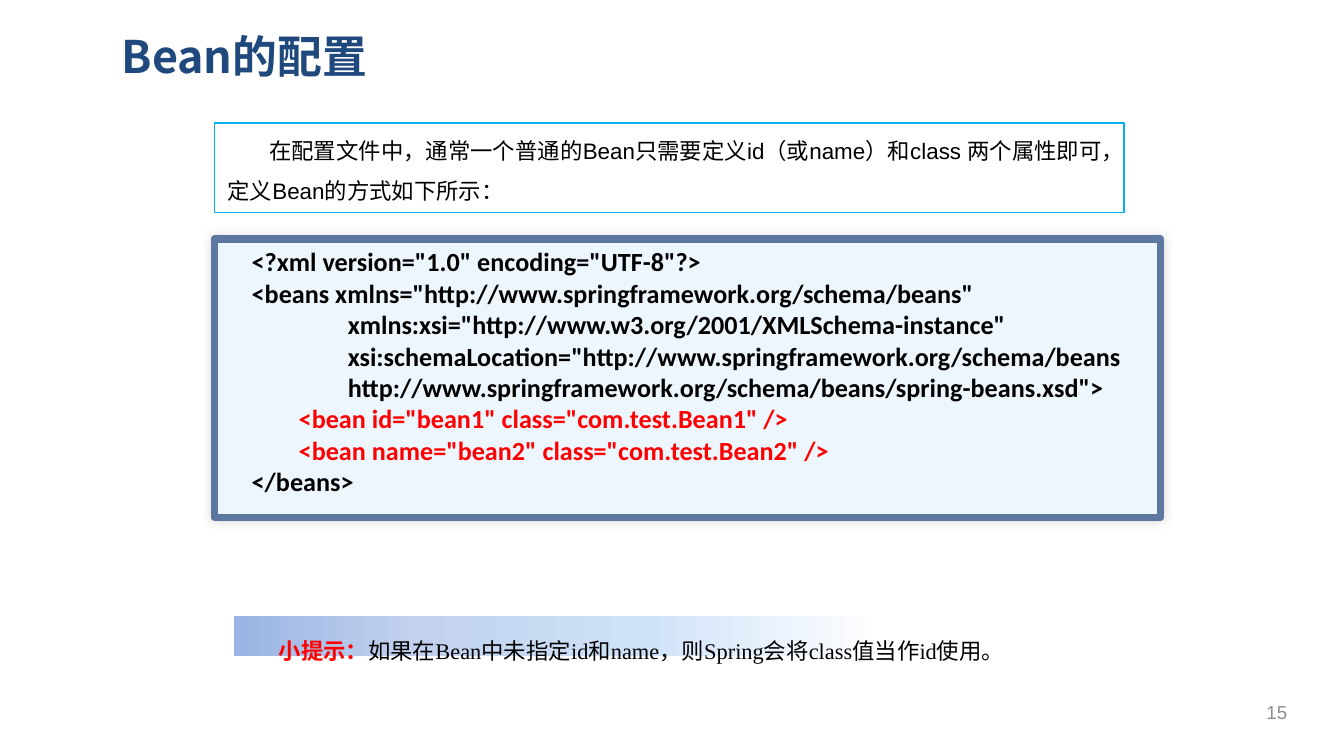
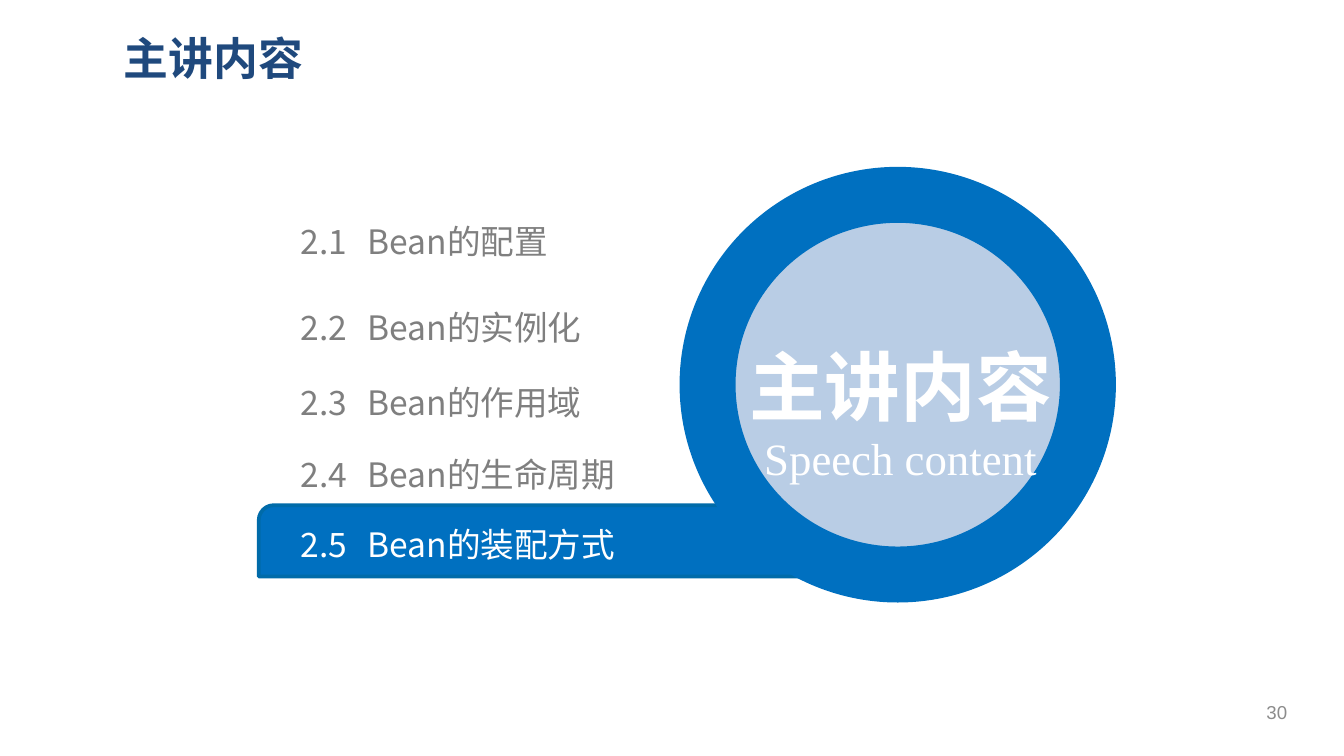
"""Build two slides on configuring beans: a sample file and the chapter outline."""
from dataclasses import dataclass, field

import lxml.etree
import pptx
import pptx.dml.color
import pptx.enum.shapes
import pptx.enum.text
import pptx.oxml.ns
import pptx.util

SCALE = 4572
SANS, ARIAL, TIMES, CODE = "Noto Sans CJK SC", "Arial", "Times New Roman", "Calibri"
NAVY, BLUE, RED, BLACK, WHITE, GRAY = (
    "1F497D", "0070C0", "FF0000", "000000", "FFFFFF", "7F7F7F")
KIND = pptx.enum.shapes.MSO_SHAPE
ALIGN = pptx.enum.text.PP_ALIGN
ANCHOR = pptx.enum.text.MSO_ANCHOR
qn = pptx.oxml.ns.qn


@dataclass
class Box:
    left: int
    top: int
    width: int
    height: int


@dataclass
class Run:
    text: str
    size: float
    face: str
    tint: str
    bold: bool = False


@dataclass
class Para:
    runs: list[Run]
    align: ALIGN = ALIGN.LEFT
    space: float = 1.0
    left: int = 0
    first: int = 0
    tab: int = 0


@dataclass
class Style:
    anchor: ANCHOR = ANCHOR.TOP
    side: int = 20
    edge: int = 10


@dataclass
class Panel:
    kind: KIND
    box: Box
    fill: str
    line: str = ""
    weight: float = 0
    rounds: list[float] = field(default_factory=list)


def px(count: int) -> pptx.util.Emu:
    return pptx.util.Emu(count * SCALE)


def color(value: str) -> pptx.dml.color.RGBColor:
    return pptx.dml.color.RGBColor.from_string(value)


def place(box: Box) -> list[pptx.util.Emu]:
    return [px(n) for n in (box.left, box.top, box.width, box.height)]


def apply(target: object, values: dict) -> None:
    for name, value in values.items():
        setattr(target, name, value)


def child(parent: lxml.etree.ElementBase, tag: str, **values) -> lxml.etree.ElementBase:
    return lxml.etree.SubElement(parent, qn(tag), {k: str(v) for k, v in values.items()})


def write(shape, paras: list[Para], style: Style) -> None:
    frame = shape.text_frame
    apply(frame, {
        "word_wrap": True, "vertical_anchor": style.anchor,
        "margin_left": px(style.side), "margin_right": px(style.side),
        "margin_top": px(style.edge), "margin_bottom": px(style.edge)})
    for i, item in enumerate(paras):
        para = frame.add_paragraph() if i else frame.paragraphs[0]
        apply(para, {"alignment": item.align, "line_spacing": item.space})
        props = para._p.get_or_add_pPr()
        props.set("marL", str(px(item.left)))
        props.set("indent", str(px(item.first)))
        if item.tab:
            child(child(props, "a:tabLst"), "a:tab", pos=px(item.tab), algn="l")
        for part in item.runs:
            run = para.add_run()
            run.text = part.text
            run.font.color.rgb = color(part.tint)
            apply(run.font, {"size": pptx.util.Pt(part.size), "bold": part.bold,
                             "name": part.face})
            child(run._r.get_or_add_rPr(), "a:ea", typeface=SANS)


def label(slide, box: Box, paras: list[Para], style: Style) -> None:
    write(slide.shapes.add_textbox(*place(box)), paras, style)


def draw(slide, panel: Panel):
    shape = slide.shapes.add_shape(panel.kind, *place(panel.box))
    shape.shadow.inherit = False
    shape.fill.solid()
    shape.fill.fore_color.rgb = color(panel.fill)
    if panel.line:
        shape.line.color.rgb = color(panel.line)
        shape.line.width = pptx.util.Pt(panel.weight)
    else:
        shape.line.fill.background()
    for i, value in enumerate(panel.rounds):
        shape.adjustments[i] = value
    return shape


def glow(shape) -> None:
    effects = shape.element.spPr.find(qn("a:effectLst"))
    shade = child(effects, "a:outerShdw", blurRad=pptx.util.Pt(6), dist=0, dir=0,
                  algn="ctr", rotWithShape=0)
    child(child(shade, "a:srgbClr", val=BLACK), "a:alpha", val=15000)


def blend(shape, stops: list[tuple[int, str]]) -> None:
    shape.fill.gradient()
    shape.fill.gradient_angle = 0
    group = shape.element.spPr.find(qn("a:gradFill")).find(qn("a:gsLst"))
    for old in list(group):
        group.remove(old)
    for spot, tint in stops:
        child(child(group, "a:gs", pos=spot * 1000), "a:srgbClr", val=tint)


def start(deck, title: str, number: int, style: Style):
    slide = deck.slides.add_slide(deck.slide_layouts[6])
    label(slide, Box(166, 36, 1748, 100),
          [Para([Run(title, 24, SANS, NAVY, True)])], style)
    label(slide, Box(1852, 1030, 96, 60),
          [Para([Run(str(number), 10, ARIAL, "8C8C8C")], ALIGN.CENTER)],
          Style(ANCHOR.MIDDLE, 18, 8))
    return slide


LINES = [
    (36, BLACK, '<?xml version="1.0" encoding="UTF-8"?>'),
    (36, BLACK, '<beans xmlns="http://www.springframework.org/schema/beans"'),
    (179, BLACK, 'xmlns:xsi="http://www.w3.org/2001/XMLSchema-instance"'),
    (179, BLACK, 'xsi:schemaLocation="http://www.springframework.org/schema/beans'),
    (179, BLACK, 'http://www.springframework.org/schema/beans/spring-beans.xsd">'),
    (106, RED, '<bean id="bean1" class="com.test.Bean1" />'),
    (106, RED, '<bean name="bean2" class="com.test.Bean2" />'),
    (36, BLACK, "</beans>"),
]
TOPICS = [(329, "Bean的配置"), (457, "Bean的实例化"), (569, "Bean的作用域"),
          (675, "Bean的生命周期"), (780, "Bean的装配方式")]


def sample(deck) -> None:
    slide = start(deck, "Bean的配置", 15, Style(side=15, edge=7))
    draw(slide, Panel(KIND.RECTANGLE, Box(319, 183, 1354, 133), WHITE, "00B0F0", 0.75))
    intro = "在配置文件中，通常一个普通的Bean只需要定义id（或name）和class 两个属性即可，定义Bean的方式如下所示"
    label(slide, Box(319, 174, 1354, 134),
          [Para([Run(intro, 12, ARIAL, BLACK), Run("：", 12, TIMES, BLACK)],
                space=1.5, first=62)], Style())
    code = draw(slide, Panel(KIND.RECTANGLE, Box(319, 356, 1408, 414),
                             "EDF5FD", "5D78A0", 4))
    glow(code)
    write(code, [Para([Run(text, 14, CODE, tint, True)], left=left)
                 for left, tint, text in LINES], Style())
    band = draw(slide, Panel(KIND.RECTANGLE, Box(348, 916, 1306, 61), WHITE))
    blend(band, [(0, "9AB5E4"), (21, "C2D1ED"), (46, "CEE1F8"), (74, WHITE)])
    hint = "如果在Bean中未指定id和name，则Spring会将class值当作id使用。"
    label(slide, Box(395, 938, 1256, 60),
          [Para([Run("小提示：", 12, ARIAL, RED, True), Run(hint, 12, TIMES, BLACK)])],
          Style())


def outline(deck) -> None:
    title = "主讲内容"
    slide = start(deck, title, 30, Style(ANCHOR.MIDDLE, 18, 8))
    draw(slide, Panel(KIND.ROUND_2_DIAG_RECTANGLE, Box(385, 752, 938, 106),
                      BLUE, "006BA9", 2, [0.21, 0]))
    draw(slide, Panel(KIND.OVAL, Box(1053, 290, 566, 565), "B9CDE5", BLUE, 30))
    label(slide, Box(1047, 427, 586, 306),
          [Para([Run(title, 40.5, SANS, WHITE, True)], ALIGN.CENTER, 1.5),
           Para([Run("Speech content", 24, TIMES, WHITE)], ALIGN.CENTER)],
          Style(ANCHOR.MIDDLE))
    for i, (top, text) in enumerate(TOPICS, 1):
        tint = WHITE if i == len(TOPICS) else GRAY
        label(slide, Box(447, top, 622, 60),
              [Para([Run(f"2.{i}\t{text}", 18, SANS, tint)], tab=84)],
              Style(ANCHOR.MIDDLE, 0, 0))


def main() -> None:
    deck = pptx.Presentation()
    apply(deck, {"slide_width": px(2000), "slide_height": px(1125)})
    sample(deck)
    outline(deck)
    deck.save("out.pptx")


if __name__ == "__main__":
    main()
